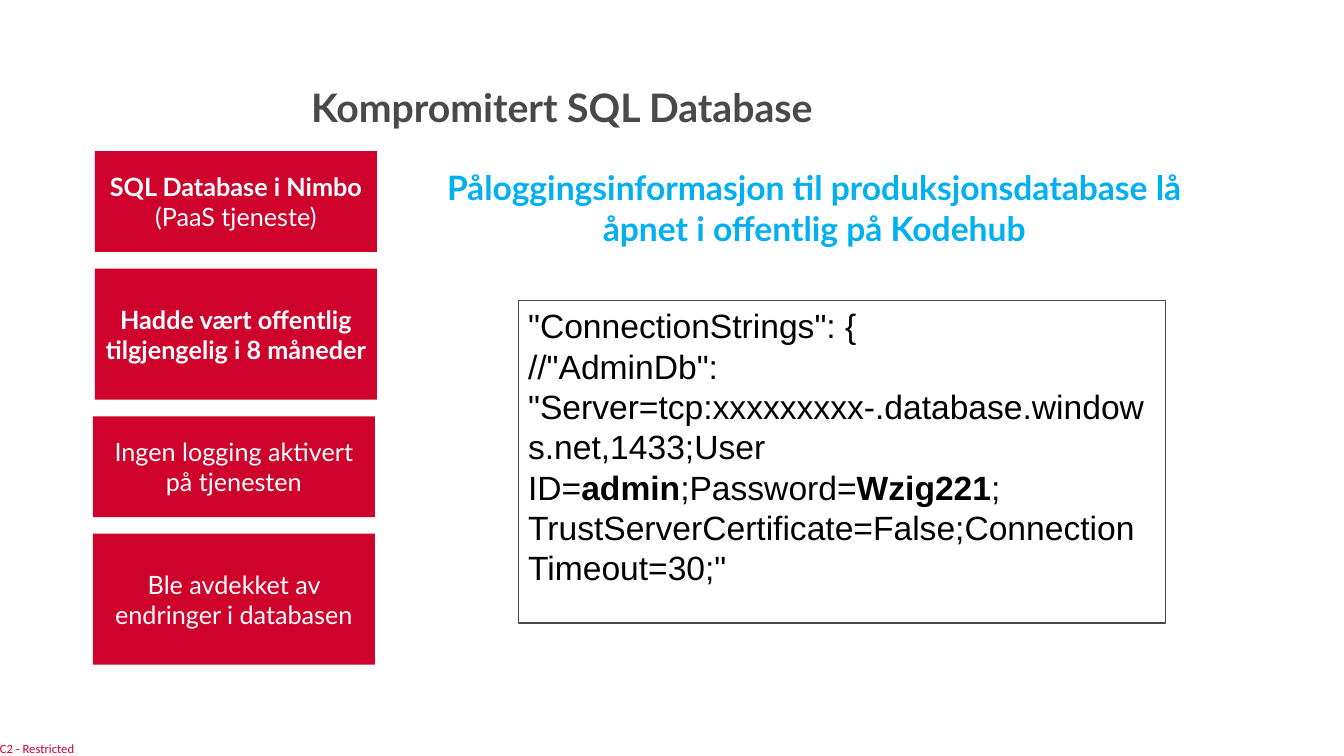
from pptx import Presentation
from pptx.dml.color import RGBColor
from pptx.enum.shapes import MSO_SHAPE
from pptx.enum.text import MSO_ANCHOR, PP_ALIGN
from pptx.util import Cm, Pt

RED = RGBColor(0xCF, 0x02, 0x2B)
GREY = RGBColor(0x49, 0x49, 0x49)
BLUE = RGBColor(0x00, 0xB0, 0xF0)
WHITE = RGBColor(0xFF, 0xFF, 0xFF)
BLACK = RGBColor(0x00, 0x00, 0x00)

CARD_TOP, CARD_WIDTH, CARD_GAP = 3.81, 7.11, 0.42

# Left edge, height and (text, bold) parts of each card, in cm
CARDS = [
    (2.39, 2.54, [("SQL Database i Nimbo ", True), ("(PaaS tjeneste)", False)]),
    (2.39, 3.3, [("Hadde vært offentlig tilgjengelig i 8 måneder", True)]),
    (2.34, 2.54, [("Ingen logging aktivert på tjenesten", False)]),
    (2.34, 3.3, [("Ble avdekket av endringer i databasen", False)]),
]

CONNECTION_STRING = [
    [('"ConnectionStrings": {', False)],
    [
        ('//"AdminDb": "Server=tcp:xxxxxxxxx-.database.windows.net,1433;User ID=', False),
        ("admin", True),
        (";Password=", False),
        ("Wzig221", True),
        (";\n", False),
        ('TrustServerCertificate=False;Connection Timeout=30;"', False),
    ],
]


class SlideBuilder:
    def __init__(self, slide, font="Lato"):
        self.slide = slide
        self.font = font

    def add_runs(self, paragraph, parts, size, color, align=PP_ALIGN.LEFT, font=None):
        """Add (text, bold) parts as runs; a final newline becomes a line break."""
        paragraph.alignment = align
        for text, bold in parts:
            run = paragraph.add_run()
            run.text = text.rstrip("\n")
            run.font.name = font or self.font
            run.font.size = Pt(size)
            run.font.bold = bold
            run.font.color.rgb = color
            if text.endswith("\n"):
                paragraph.add_line_break()

    def label(self, left, top, width, height, text, size, color,
              bold=True, align=PP_ALIGN.LEFT, font=None):
        box = self.slide.shapes.add_textbox(Cm(left), Cm(top), Cm(width), Cm(height))
        frame = box.text_frame
        frame.word_wrap = True
        self.add_runs(frame.paragraphs[0], [(text, bold)], size, color, align, font)
        return frame

    def box(self, left, top, width, height, fill, border=None):
        rectangle = self.slide.shapes.add_shape(
            MSO_SHAPE.RECTANGLE, Cm(left), Cm(top), Cm(width), Cm(height))
        rectangle.shadow.inherit = False
        rectangle.fill.solid()
        rectangle.fill.fore_color.rgb = fill
        if border is None:
            rectangle.line.fill.background()
        else:
            rectangle.line.color.rgb = border
            rectangle.line.width = Pt(1)
        rectangle.text_frame.word_wrap = True
        return rectangle.text_frame

    def card(self, left, top, height, parts):
        frame = self.box(left, top, CARD_WIDTH, height, RED)
        frame.vertical_anchor = MSO_ANCHOR.MIDDLE
        self.add_runs(frame.paragraphs[0], parts, 18, WHITE, PP_ALIGN.CENTER)

    def code(self, left, top, width, height, lines):
        frame = self.box(left, top, width, height, WHITE, GREY)
        frame.vertical_anchor = MSO_ANCHOR.TOP
        for index, parts in enumerate(lines):
            paragraph = frame.add_paragraph() if index else frame.paragraphs[0]
            self.add_runs(paragraph, parts, 24, BLACK, font="Arial")


def main():
    presentation = Presentation()
    presentation.slide_width = Cm(33.87)
    presentation.slide_height = Cm(19.05)
    builder = SlideBuilder(presentation.slides.add_slide(presentation.slide_layouts[6]))

    classification = builder.label(0, 18.67, 1.96, 0.38, "C2 - Restricted", 9, RED,
                                   bold=False, font="Calibri")
    classification.word_wrap = False
    classification.margin_left = classification.margin_right = 0
    classification.margin_top = classification.margin_bottom = 0

    title = builder.label(7.59, 2.11, 29.87, 1.52, "Kompromitert SQL Database", 28, GREY)
    title.paragraphs[0].line_spacing = 0.9

    top = CARD_TOP
    for left, height, parts in CARDS:
        builder.card(left, top, height, parts)
        top += height + CARD_GAP

    builder.label(10.31, 4.09, 20.42, 3.33,
                  "Påloggingsinformasjon til produksjonsdatabase lå "
                  "åpnet i offentlig på Kodehub",
                  24, BLUE, align=PP_ALIGN.CENTER)
    builder.code(13.06, 7.57, 16.31, 8.13, CONNECTION_STRING)

    presentation.save("out.pptx")


if __name__ == "__main__":
    main()
